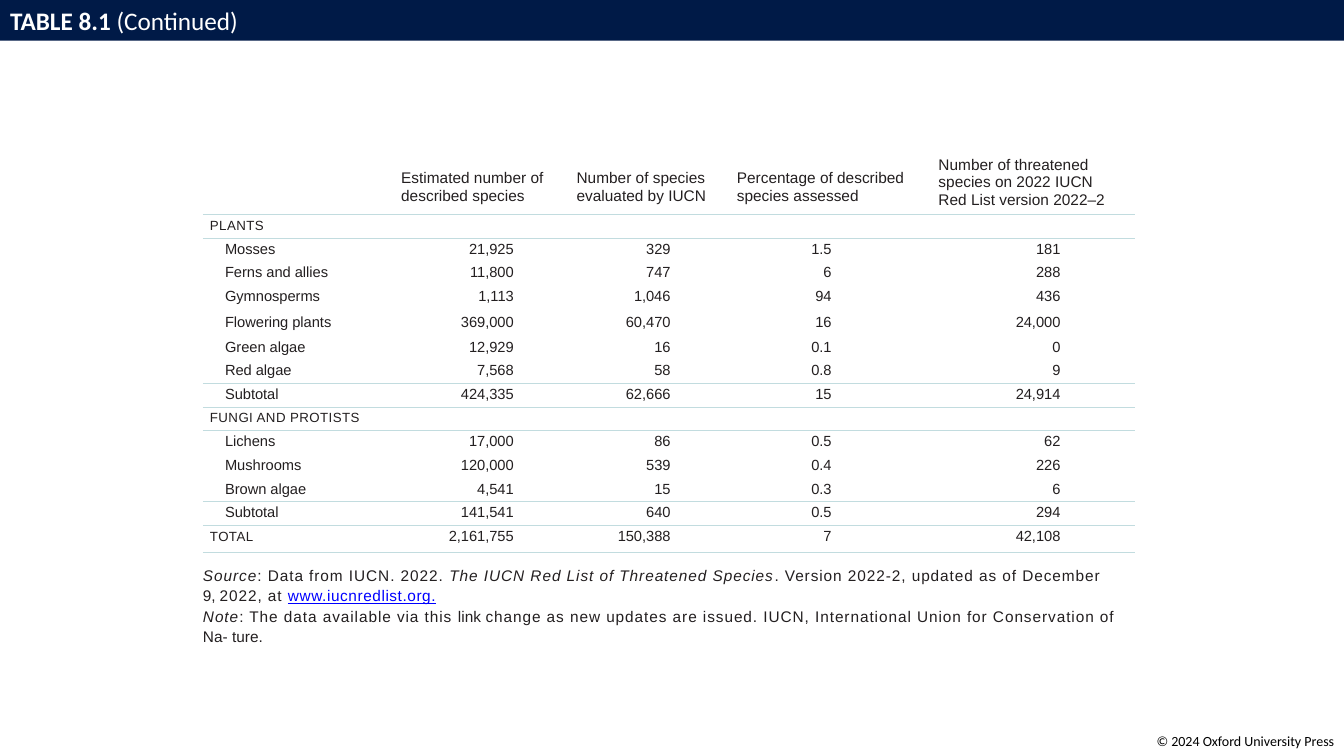
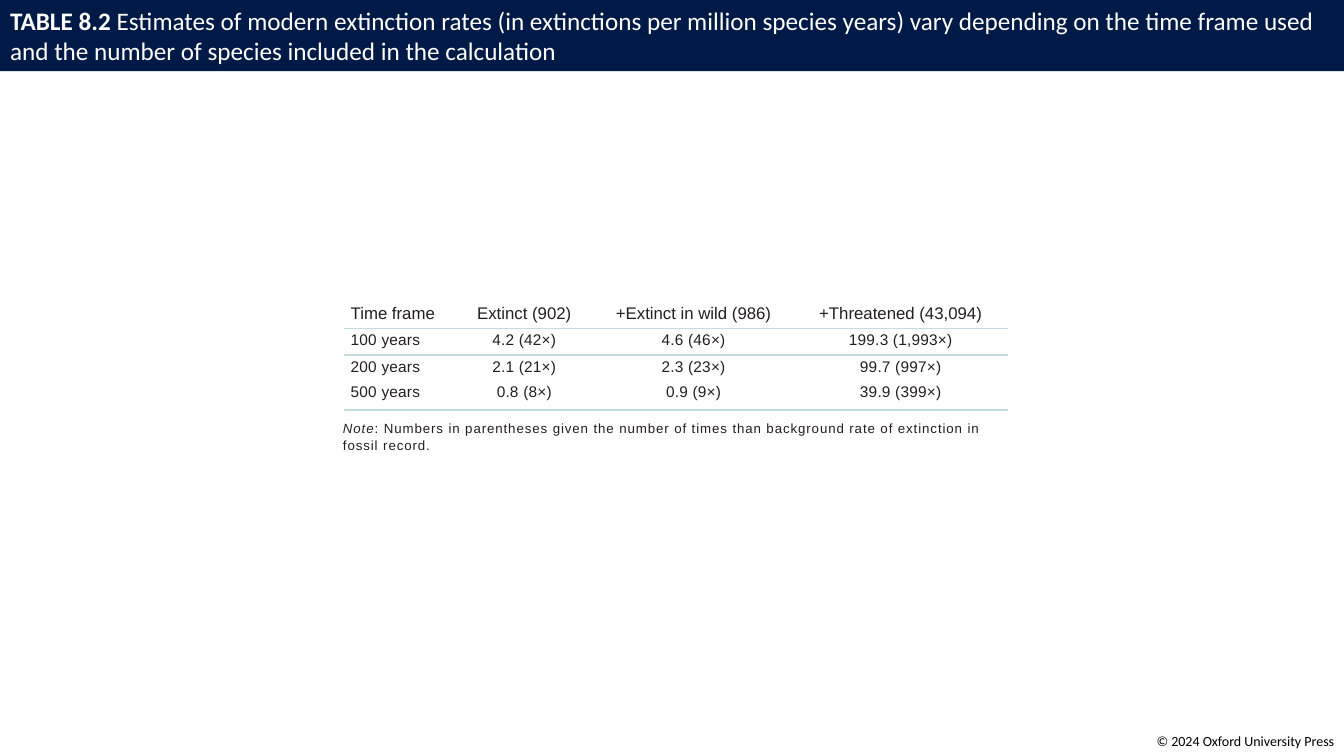
from lxml import etree
from pptx import Presentation
from pptx.dml.color import RGBColor
from pptx.enum.text import MSO_ANCHOR as Anchor, MSO_AUTO_SIZE as AutoSize, PP_ALIGN as Align
from pptx.oxml import parse_xml
from pptx.oxml.ns import nsdecls, qn
from pptx.util import Pt

NAVY = RGBColor(0x00, 0x1A, 0x47)
WHITE = RGBColor(0xFF, 0xFF, 0xFF)
BLACK = RGBColor(0x00, 0x00, 0x00)
INK = RGBColor(0x23, 0x1F, 0x20)
RULE = RGBColor(0xC2, 0xDC, 0xDF)
LINK_BLUE = RGBColor(0x00, 0x00, 0xFF)

WIDTH, HEIGHT = 960, 540
PLAIN_TABLE = "{2D5ABB26-0587-4C30-8999-92F81FD0307C}"


def write(paragraph, text, size=11, font="Arial", color=INK, bold=False,
          italic=False, underline=False, tracking=0):
    """Append one formatted run; a newline in the text becomes a line break."""
    for index, line in enumerate(text.split("\n")):
        if index:
            paragraph.add_line_break()
        run = paragraph.add_run()
        run.text = line
        run.font.size = Pt(size)
        run.font.name = font
        run.font.color.rgb = color
        run.font.bold = bold
        run.font.italic = italic
        run.font.underline = underline
        if tracking:
            run.font._element.set("spc", str(round(tracking * 100)))


def set_margins(target, left=0, top=0, right=0, bottom=0):
    target.margin_left, target.margin_top = Pt(left), Pt(top)
    target.margin_right, target.margin_bottom = Pt(right), Pt(bottom)


class Deck:
    """Holds the shared style and the slide being filled."""

    def __init__(self):
        self.presentation = Presentation()
        self.presentation.slide_width = Pt(WIDTH)
        self.presentation.slide_height = Pt(HEIGHT)
        self.slide = None

    def add_slide(self, label, title, band_height):
        layout = self.presentation.slide_layouts.get_by_name("Title Only")
        self.slide = self.presentation.slides.add_slide(layout)
        band = self.slide.shapes.title
        band.left, band.top = Pt(0), Pt(0)
        band.width, band.height = Pt(WIDTH), Pt(band_height)
        band.fill.solid()
        band.fill.fore_color.rgb = NAVY
        frame = band.text_frame
        frame.auto_size = AutoSize.NONE
        frame.word_wrap = True
        frame.vertical_anchor = Anchor.MIDDLE
        set_margins(frame, 7.2, 3.6, 7.2, 3.6)
        paragraph = frame.paragraphs[0]
        paragraph.alignment = Align.LEFT
        style = dict(size=18, font="Calibri", color=WHITE)
        write(paragraph, label + " ", bold=True, **style)
        write(paragraph, title, **style)
        self.add_footer()

    def add_text_box(self, left, top, width, height):
        box = self.slide.shapes.add_textbox(Pt(left), Pt(top), Pt(width), Pt(height))
        box.text_frame.word_wrap = True
        return box.text_frame

    def add_footer(self):
        frame = self.add_text_box(WIDTH - 204, 520, 204, 19)
        set_margins(frame, 7.2, 3.6, 7.2, 3.6)
        paragraph = frame.paragraphs[0]
        paragraph.alignment = Align.RIGHT
        write(paragraph, "© 2024 Oxford University Press",
              size=10, font="Calibri", color=BLACK)

    def add_note(self, left, top, width, height, paragraphs, size):
        """Each paragraph is a list of (text, format) pairs."""
        frame = self.add_text_box(left, top, width, height)
        set_margins(frame, 1, 1)
        for index, runs in enumerate(paragraphs):
            paragraph = frame.add_paragraph() if index else frame.paragraphs[0]
            paragraph.line_spacing = 1.1
            for text, style in runs:
                write(paragraph, text, size=size, **{"tracking": 0.65, **style})

    def add_table(self, left, top, column_widths, row_heights):
        frame = self.slide.shapes.add_table(
            len(row_heights), len(column_widths), Pt(left), Pt(top),
            Pt(sum(column_widths)), Pt(sum(row_heights)))
        table = frame.table
        table.first_row = table.horz_banding = False
        frame._element.find(".//" + qn("a:tableStyleId")).text = PLAIN_TABLE
        for column, width in zip(table.columns, column_widths):
            column.width = Pt(width)
        for row, height in zip(table.rows, row_heights):
            row.height = Pt(height)
        return table

    def fill_cell(self, cell, text, size, align=Align.LEFT, anchor=Anchor.TOP,
                  rule=0, tracking=0, spacing=1.0, **margins):
        """Fill a cell; rule is the width of its bottom border."""
        set_margins(cell, **margins)
        cell.vertical_anchor = anchor
        cell.fill.background()
        paragraph = cell.text_frame.paragraphs[0]
        paragraph.alignment = align
        paragraph.line_spacing = spacing
        if text:
            write(paragraph, text, size=size, tracking=tracking)
        else:
            end = etree.SubElement(paragraph._p, qn("a:endParaRPr"))
            end.set("sz", str(round(size * 100)))
        if rule:
            cell._tc.get_or_add_tcPr().insert(0, parse_xml(
                f'<a:lnB {nsdecls("a")} w="{Pt(rule)}"><a:solidFill>'
                f'<a:srgbClr val="{RULE}"/></a:solidFill></a:lnB>'))


def add_species_slide(deck):
    deck.add_slide("TABLE 8.1", "(Continued)", 29)
    headers = ["", "Estimated number of described species",
               "Number of species evaluated by IUCN",
               "Percentage of described species assessed",
               "Number of threatened species on 2022 IUCN Red List version 2022–2"]
    # Row height, then label and figures
    rows = [
        (16.9, "PLANTS", "", "", "", ""),
        (17, "Mosses", "21,925", "329", "1.5", "181"),
        (17, "Ferns and allies", "11,800", "747", "6", "288"),
        (18.5, "Gymnosperms", "1,113", "1,046", "94", "436"),
        (17.5, "Flowering plants", "369,000", "60,470", "16", "24,000"),
        (17, "Green algae", "12,929", "16", "0.1", "0"),
        (17, "Red algae", "7,568", "58", "0.8", "9"),
        (16.9, "Subtotal", "424,335", "62,666", "15", "24,914"),
        (16.9, "FUNGI AND PROTISTS", "", "", "", ""),
        (16.9, "Lichens", "17,000", "86", "0.5", "62"),
        (16.9, "Mushrooms", "120,000", "539", "0.4", "226"),
        (16.9, "Brown algae", "4,541", "15", "0.3", "6"),
        (16.9, "Subtotal", "141,541", "640", "0.5", "294"),
        (19.5, "TOTAL", "2,161,755", "150,388", "7", "42,108"),
    ]
    right_margins = [0, 36.5, 39, 68, 53.5]
    table = deck.add_table(145, 107.2, [133.2, 125.3, 114.5, 144, 149],
                           [46] + [row[0] for row in rows])

    last = len(headers) - 1
    for column, header in enumerate(headers):
        deck.fill_cell(table.cell(0, column), header, 11, anchor=Anchor.BOTTOM,
                       rule=1.5, spacing=1.04, left=8.4,
                       right=20 if column == last else 0,
                       bottom=4 if column == last else 7)
    for number, (_, label, *figures) in enumerate(rows, start=1):
        is_heading = label.isupper()
        following = rows[number][1] if number < len(rows) else "TOTAL"
        ruled = is_heading or label == "Subtotal" or following == "Subtotal"
        rule = 0.75 if ruled else 0
        deck.fill_cell(table.cell(number, 0), label, 9.5 if is_heading else 10.5,
                       rule=rule, tracking=0.3 if is_heading else 0,
                       left=5 if is_heading else 15.8, top=2.5 if is_heading else 2)
        for column, figure in enumerate(figures, start=1):
            deck.fill_cell(table.cell(number, column), figure, 10.5, Align.RIGHT,
                           rule=rule, top=2, right=right_margins[column])

    italic = {"italic": True}
    deck.add_note(144, 402, 680, 60, [
        [("Source", italic), (": Data from IUCN. 2022. ", {}),
         ("The IUCN Red List of Threatened Species", italic),
         (". Version 2022-2, updated as of December\n", {}),
         ("9, ", {"tracking": -0.2}), ("2022, at ", {}),
         ("www.iucnredlist.org.",
          {"color": LINK_BLUE, "underline": True, "tracking": 0.4})],
        [("Note", italic), (": The data available via this ", {}),
         ("link ", {"tracking": 0}),
         ("change as new updates are issued. IUCN, International Union for "
          "Conservation of\n", {}),
         ("Na- ture.", {"tracking": 0})],
    ], size=11)


def add_rates_slide(deck):
    deck.add_slide("TABLE 8.2", "Estimates of modern extinction rates (in extinctions per "
                   "million species years) vary depending on the time frame used and the "
                   "number of species included in the calculation", 50.8)
    rows = [
        ("Time frame", "Extinct (902)", "+Extinct in wild (986)", "+Threatened (43,094)"),
        ("100 years", "4.2 (42×)", "4.6 (46×)", "199.3 (1,993×)"),
        ("200 years", "2.1 (21×)", "2.3 (23×)", "99.7 (997×)"),
        ("500 years", "0.8 (8×)", "0.9 (9×)", "39.9 (399×)"),
    ]
    ruled_rows = {0, 1, 3}
    table = deck.add_table(245.5, 216, [81.4, 97.2, 144.7, 151.2], [18.6, 19, 18.2, 21])
    for number, row in enumerate(rows):
        for column, text in enumerate(row):
            deck.fill_cell(table.cell(number, column), text, 11 if number else 12,
                           Align.CENTER if column else Align.LEFT,
                           rule=1.5 if number in ruled_rows else 0,
                           tracking=0.15 if number else 0,
                           left=0 if column else 5, right=2 if column else 0,
                           top=2.3 if number else 1)
    deck.add_note(244, 298, 470, 28, [
        [("Note", {"italic": True}),
         (": Numbers in parentheses given the number of times than background rate "
          "of extinction in fossil record.", {})],
    ], size=9.5)


def main():
    deck = Deck()
    add_species_slide(deck)
    add_rates_slide(deck)
    deck.presentation.save("out.pptx")


if __name__ == "__main__":
    main()
